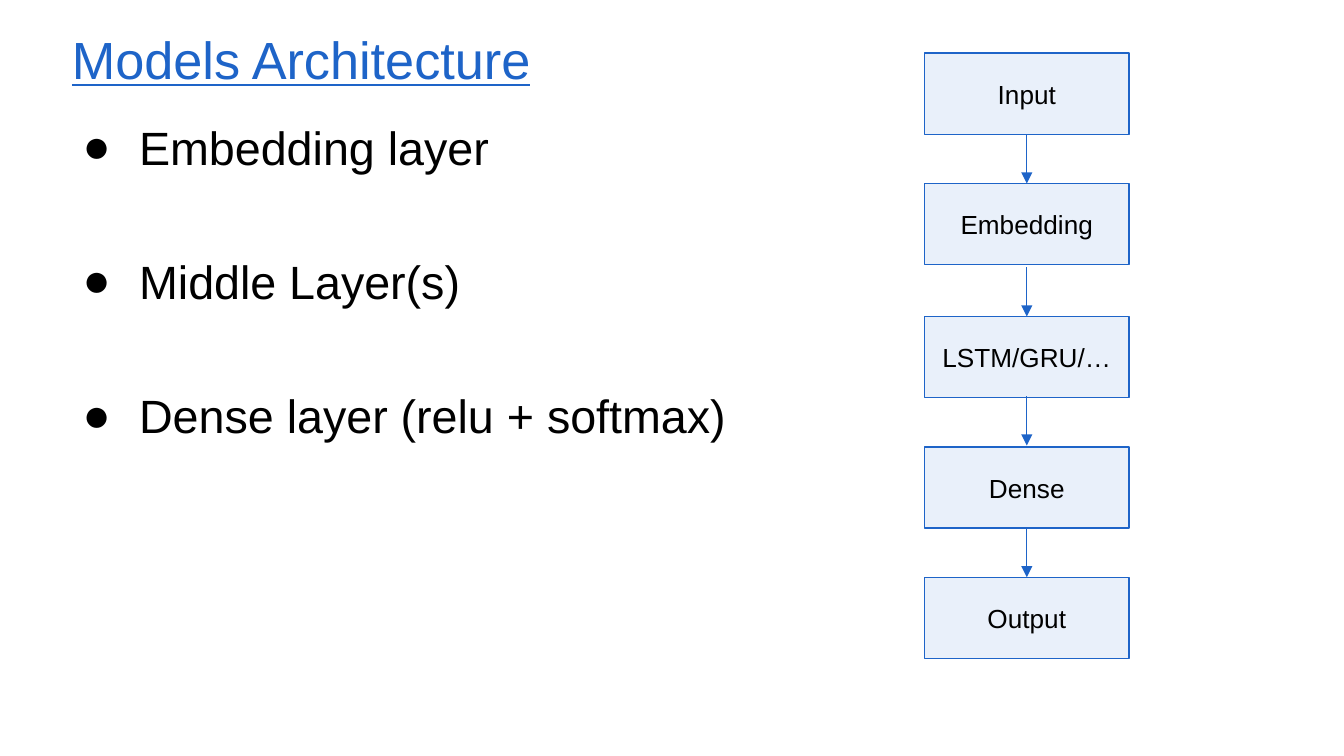
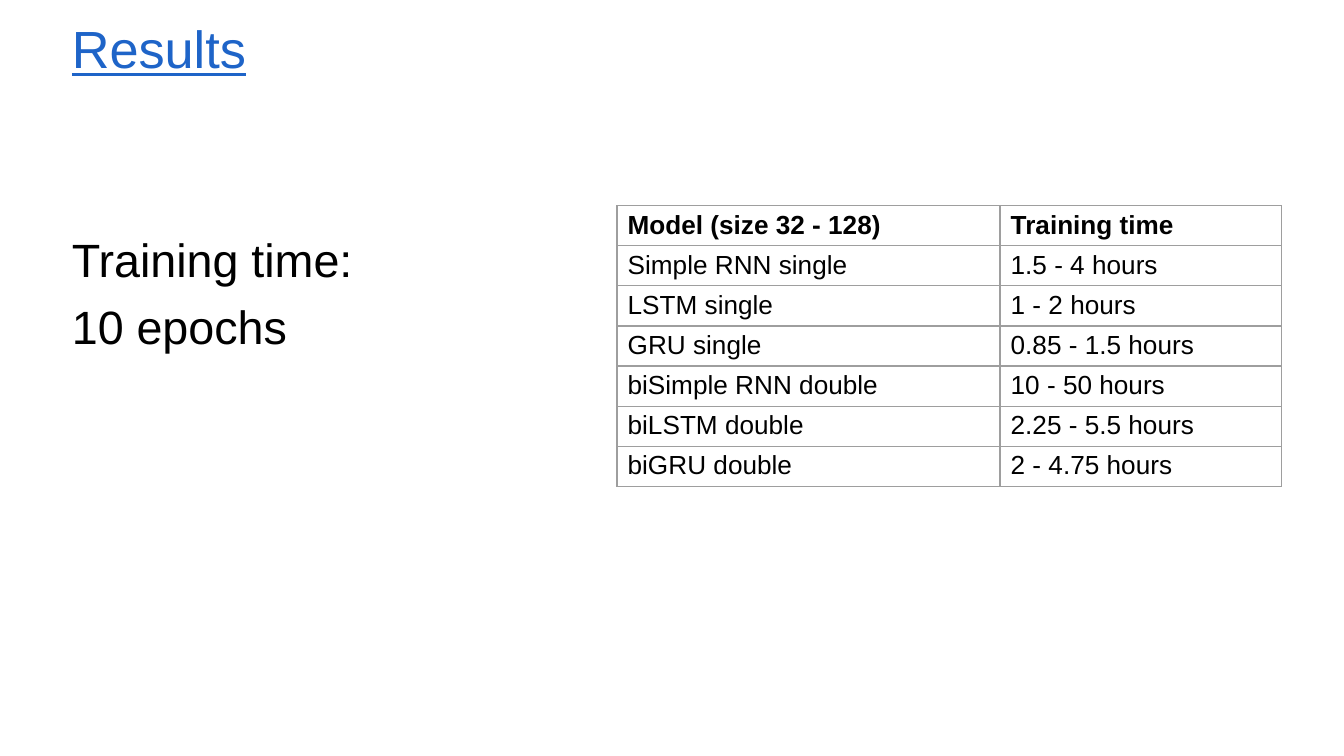
"""Build two slides: a stack of model layers and a table of training times."""
from typing import Any, NamedTuple, Optional

from lxml import etree
from pptx import Presentation
from pptx import util as u
from pptx.dml.color import RGBColor
from pptx.enum import shapes, text
from pptx.oxml import ns

PX = 4572
FONT = "Arial"
BLUE = RGBColor(0x1E, 0x64, 0xC8)
PALE = RGBColor(0xE9, 0xF0, 0xFA)
GREY = RGBColor(0x9E, 0x9E, 0x9E)
BLACK = RGBColor(0x00, 0x00, 0x00)
LINE = u.Pt(0.75)
LEFT, BODY_GAP = 97, 109
STAGE_LEFT, STAGE_WIDTH, STAGE_HEIGHT, ARROW_LENGTH = 1376, 304, 121, 73


class Stage(NamedTuple):
    label: str
    top: int
    arrow_top: Optional[int]


class Result(NamedTuple):
    model: str
    duration: str


class Body(NamedTuple):
    lines: list[str]
    inset_top: int
    gap: float
    bulleted: bool


STAGES = [
    Stage("Input", 79, 200),
    Stage("Embedding", 273, 398),
    Stage("LSTM/GRU/…", 471, 590),
    Stage("Dense", 665, 786),
    Stage("Output", 859, None),
]
LAYERS = Body(["Embedding layer", "Middle Layer(s)", "Dense layer (relu + softmax)"],
              6, 36, True)
TRAINING = Body(["Training time:", "10 epochs"], 189, 0, False)
RESULTS = [
    Result("Model (size 32 - 128)", "Training time"),
    Result("Simple RNN single", "1.5 - 4 hours"),
    Result("LSTM single", "1 - 2 hours"),
    Result("GRU single", "0.85 - 1.5 hours"),
    Result("biSimple RNN double", "10 - 50 hours"),
    Result("biLSTM double", "2.25 - 5.5 hours"),
    Result("biGRU double", "2 - 4.75 hours"),
]


def px(length: int) -> u.Emu:
    """Turn two-hundredths of an inch into EMU."""
    return u.Emu(length * PX)


def write(para: Any, words: str, *, size: int, color: RGBColor = BLACK,
          bold: bool = False, underline: bool = False, spacing: float = 1.0,
          before: float = 0, align: Any = text.PP_ALIGN.LEFT) -> None:
    """Write one formatted span into a paragraph."""
    para.alignment = align
    para.line_spacing = spacing
    para.space_before = u.Pt(before)
    span = para.add_run()
    span.text = words
    span.font.name = FONT
    span.font.size = u.Pt(size)
    span.font.bold = bold
    span.font.underline = underline
    span.font.color.rgb = color


def set_insets(frame: Any, left: int, top: int, right: int, bottom: int) -> None:
    """Set the margins of a text frame or a table cell."""
    frame.margin_left, frame.margin_top = px(left), px(top)
    frame.margin_right, frame.margin_bottom = px(right), px(bottom)


def add_text_frame(page: Any, top: int, width: int, height: int, inset_top: int = 6) -> Any:
    """Add a wrapping text box at the left margin."""
    frame = page.shapes.add_textbox(px(LEFT), px(top), px(width), px(height)).text_frame
    frame.word_wrap = True
    set_insets(frame, 10, inset_top, 10, 6)
    return frame


def add_bullet(para: Any) -> None:
    """Give a paragraph a hanging round bullet."""
    props = para._p.get_or_add_pPr()
    props.set("marL", str(px(100)))
    props.set("indent", str(px(-84)))
    tint = etree.SubElement(props, ns.qn("a:buClr"))
    etree.SubElement(tint, ns.qn("a:srgbClr")).set("val", str(BLACK))
    etree.SubElement(props, ns.qn("a:buFont")).set("typeface", FONT)
    etree.SubElement(props, ns.qn("a:buChar")).set("char", "●")


def add_page(deck: Any, title: str, top: int, body: Body) -> Any:
    """Add a page with its underlined title and body lines."""
    page = deck.slides.add_slide(deck.slide_layouts[6])
    heading = add_text_frame(page, top, 1812, 100)
    write(heading.paragraphs[0], title, size=28, color=BLUE, underline=True, spacing=0.9)
    frame = add_text_frame(page, top + BODY_GAP, 1810, 772, body.inset_top)
    for index, line in enumerate(body.lines):
        para = frame.add_paragraph() if index else frame.paragraphs[0]
        write(para, line, size=25, spacing=1.2, before=body.gap if index else 0)
        if body.bulleted:
            add_bullet(para)
    return page


def add_stage(page: Any, stage: Stage) -> None:
    """Draw one layer box and the arrow that leaves it."""
    box = page.shapes.add_shape(shapes.MSO_SHAPE.RECTANGLE, px(STAGE_LEFT), px(stage.top),
                                px(STAGE_WIDTH), px(STAGE_HEIGHT))
    box.shadow.inherit = False
    box.fill.solid()
    box.fill.fore_color.rgb = PALE
    box.line.color.rgb = BLUE
    box.line.width = LINE
    frame = box.text_frame
    frame.word_wrap = True
    frame.vertical_anchor = text.MSO_ANCHOR.MIDDLE
    set_insets(frame, 20, 20, 20, 20)
    write(frame.paragraphs[0], stage.label, size=14, align=text.PP_ALIGN.CENTER)
    if stage.arrow_top is not None:
        add_arrow(page, STAGE_LEFT + STAGE_WIDTH // 2, stage.arrow_top)


def add_arrow(page: Any, center: int, top: int) -> None:
    """Draw a downward arrow of the common length."""
    arrow = page.shapes.add_connector(shapes.MSO_CONNECTOR.STRAIGHT, px(center), px(top),
                                      px(center), px(top + ARROW_LENGTH))
    arrow.line.color.rgb = BLUE
    arrow.line.width = LINE
    etree.SubElement(arrow.line._get_or_add_ln(), ns.qn("a:tailEnd")).set("type", "triangle")
    etree.SubElement(arrow._element.spPr, ns.qn("a:effectLst"))


def add_borders(cell: Any) -> None:
    """Outline a table cell in grey on all four sides."""
    props = cell._tc.get_or_add_tcPr()
    for index, side in enumerate(("lnL", "lnR", "lnT", "lnB")):
        edge = etree.Element(ns.qn(f"a:{side}"), w=str(LINE))
        fill = etree.SubElement(edge, ns.qn("a:solidFill"))
        etree.SubElement(fill, ns.qn("a:srgbClr")).set("val", str(GREY))
        props.insert(index, edge)


def add_results(page: Any, results: list[Result]) -> None:
    """Draw the table of training times under a bold header."""
    widths, row_height = (570, 419), 56
    table = page.shapes.add_table(len(results), len(widths), px(918), px(306),
                                  px(sum(widths)), px(row_height * len(results))).table
    table.first_row = table.horz_banding = False
    for column, width in zip(table.columns, widths):
        column.width = px(width)
    for index, result in enumerate(results):
        for cell, words in zip(table.rows[index].cells, result):
            cell.fill.background()
            set_insets(cell, 16, 7, 0, 6)
            write(cell.text_frame.paragraphs[0], words, size=14, bold=index == 0)
            add_borders(cell)


def main() -> None:
    """Build and save the deck."""
    deck = Presentation()
    deck.slide_width, deck.slide_height = px(2000), px(1125)
    architecture = add_page(deck, "Models Architecture", 45, LAYERS)
    for stage in STAGES:
        add_stage(architecture, stage)
    results = add_page(deck, "Results", 29, TRAINING)
    add_results(results, RESULTS)
    deck.save("out.pptx")


if __name__ == "__main__":
    main()
